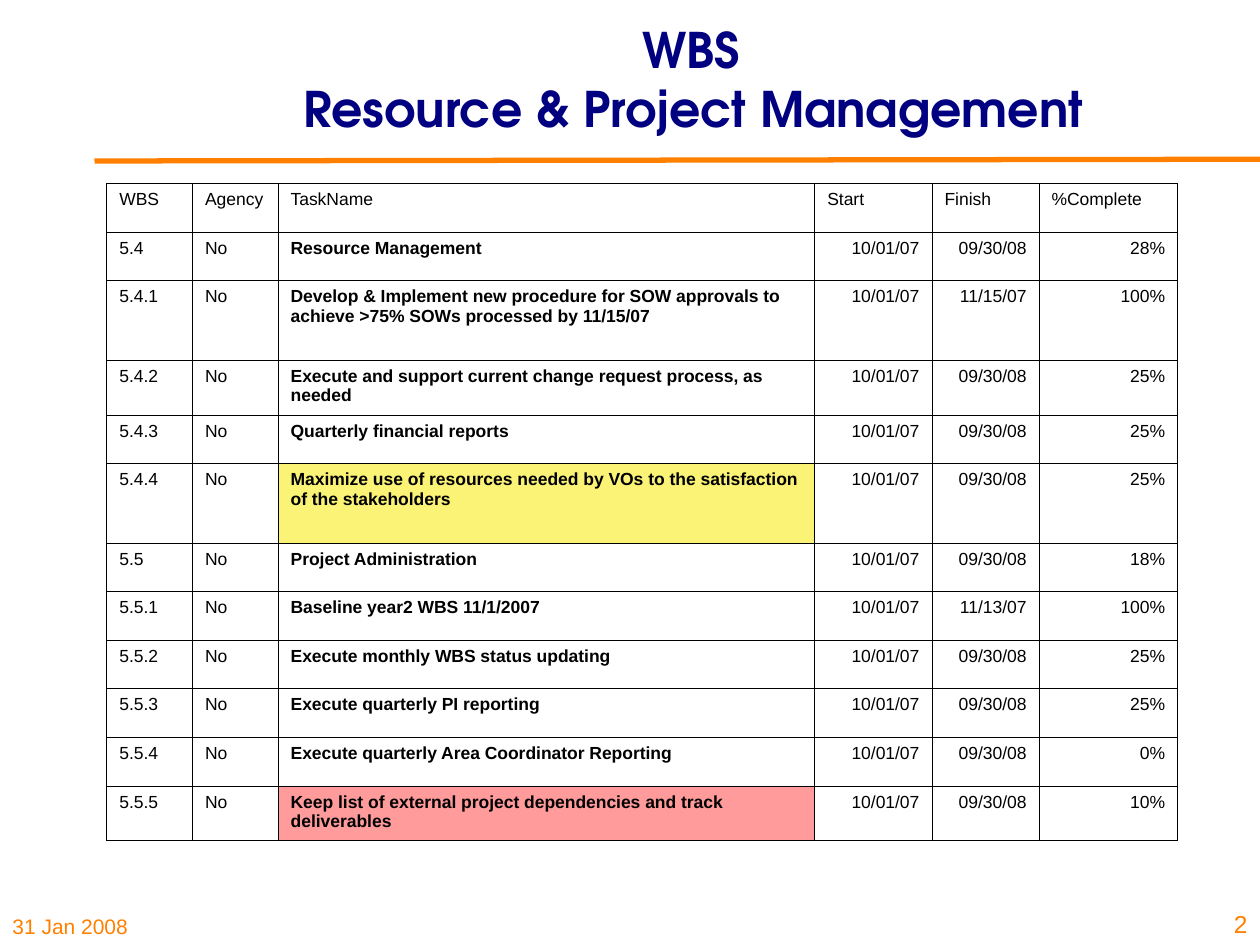
"""Build the WBS slide for resource and project management."""
from lxml import etree
from pptx import Presentation
from pptx.dml.color import RGBColor
from pptx.enum.shapes import MSO_CONNECTOR
from pptx.enum.text import MSO_ANCHOR, PP_ALIGN
from pptx.oxml.ns import qn
from pptx.util import Pt

LEFT, CENTER, RIGHT = PP_ALIGN.LEFT, PP_ALIGN.CENTER, PP_ALIGN.RIGHT
MIDDLE, BOTTOM = MSO_ANCHOR.MIDDLE, MSO_ANCHOR.BOTTOM
STRAIGHT = MSO_CONNECTOR.STRAIGHT

NAVY = RGBColor(0x00, 0x00, 0x80)
ORANGE = RGBColor(0xFF, 0x80, 0x00)
BLACK = RGBColor(0x00, 0x00, 0x00)
YELLOW = RGBColor(0xFB, 0xF3, 0x76)
PINK = RGBColor(0xFF, 0x9B, 0x9B)

BODY_FONT = "Arial"
TITLE_FONT = "TeX Gyre Adventor"

HEADERS = ["WBS", "Agency", "TaskName", "Start", "Finish", "%Complete"]
START = "10/01/07"
YEAR_END = "09/30/08"
SHORT, MEDIUM, TALL = 27.8, 31.2, 45.4
TASKS = [
    ("5.4", "Resource Management", YEAR_END, "28%", SHORT),
    ("5.4.1", "Develop & Implement new procedure for SOW approvals to achieve "
     ">75% SOWs processed by 11/15/07", "11/15/07", "100%", TALL),
    ("5.4.2", "Execute and support current change request process, as needed",
     YEAR_END, "25%", MEDIUM),
    ("5.4.3", "Quarterly financial reports", YEAR_END, "25%", SHORT),
    ("5.4.4", "Maximize use of resources needed by VOs to the satisfaction of "
     "the stakeholders", YEAR_END, "25%", TALL),
    ("5.5", "Project Administration", YEAR_END, "18%", SHORT),
    ("5.5.1", "Baseline year2 WBS 11/1/2007", "11/13/07", "100%", SHORT),
    ("5.5.2", "Execute monthly WBS status updating", YEAR_END, "25%", SHORT),
    ("5.5.3", "Execute quarterly PI reporting", YEAR_END, "25%", SHORT),
    ("5.5.4", "Execute quarterly Area Coordinator Reporting", YEAR_END, "0%", SHORT),
    ("5.5.5", "Keep list of external project dependencies and track deliverables",
     YEAR_END, "10%", MEDIUM),
]
COLUMN_WIDTHS = [49, 48.9, 306.7, 67, 61.2, 79.2]
TASK_COLUMN = 2
HIGHLIGHTS = {"5.4.4": YELLOW, "5.5.5": PINK}


def add_run(paragraph, text, size, color, font=BODY_FONT, bold=False):
    run = paragraph.add_run()
    run.text = text
    run.font.size = Pt(size)
    run.font.name = font
    run.font.bold = bold
    run.font.color.rgb = color


def add_text_box(left, top, width, height, anchor, alignment):
    shape = slide.shapes.add_textbox(Pt(left), Pt(top), Pt(width), Pt(height))
    shape.text_frame.word_wrap = True
    shape.text_frame.vertical_anchor = anchor
    paragraph = shape.text_frame.paragraphs[0]
    paragraph.alignment = alignment
    return paragraph


presentation = Presentation()
presentation.slide_width = Pt(720)
presentation.slide_height = Pt(540)
slide = presentation.slides.add_slide(presentation.slide_layouts[6])

date = add_text_box(0, 509.8, 178.6, 30.2, BOTTOM, LEFT)
add_run(date, "31 Jan 2008", 12, ORANGE)

rule = slide.shapes.add_connector(STRAIGHT, Pt(54), Pt(92), Pt(720), Pt(91))
rule.line.color.rgb = ORANGE
rule.line.width = Pt(3)
etree.SubElement(rule._element.spPr, qn("a:effectLst"))

title = add_text_box(125.3, 0, 547.2, 90, MIDDLE, CENTER)
add_run(title, "WBS ", 28, NAVY, TITLE_FONT, True)
title.add_line_break()
add_run(title, "Resource & Project Management", 28, NAVY, TITLE_FONT, True)
add_run(title, " ", 20, NAVY, TITLE_FONT, True)

rows = [HEADERS]
rows += [[wbs, "No", task, START, finish, done] for wbs, task, finish, done, _ in TASKS]
row_heights = [SHORT] + [task[-1] for task in TASKS]

frame = slide.shapes.add_table(
    len(rows), len(HEADERS), Pt(61), Pt(104.9),
    Pt(sum(COLUMN_WIDTHS)), Pt(sum(row_heights)))
table = frame.table
table.first_row = False
table.horz_banding = False
for column, width in zip(table.columns, COLUMN_WIDTHS):
    column.width = Pt(width)

for row_index, values in enumerate(rows):
    table.rows[row_index].height = Pt(row_heights[row_index])
    for column_index, value in enumerate(values):
        cell = table.cell(row_index, column_index)
        is_task = row_index > 0 and column_index == TASK_COLUMN
        is_figure = row_index > 0 and column_index > TASK_COLUMN
        paragraph = cell.text_frame.paragraphs[0]
        paragraph.alignment = RIGHT if is_figure else LEFT
        add_run(paragraph, value, 10, BLACK, bold=is_task)

        properties = cell._tc.get_or_add_tcPr()
        for side in ("a:lnL", "a:lnR", "a:lnT", "a:lnB"):
            border = etree.SubElement(properties, qn(side), w=str(Pt(0.45)))
            border_fill = etree.SubElement(border, qn("a:solidFill"))
            etree.SubElement(border_fill, qn("a:srgbClr"), val=str(BLACK))

        if is_task and values[0] in HIGHLIGHTS:
            cell.fill.solid()
            cell.fill.fore_color.rgb = HIGHLIGHTS[values[0]]
        else:
            cell.fill.background()

page_number = add_text_box(686.9, 504, 33.1, 36, BOTTOM, RIGHT)
add_run(page_number, "2", 14, ORANGE)

presentation.save("out.pptx")
